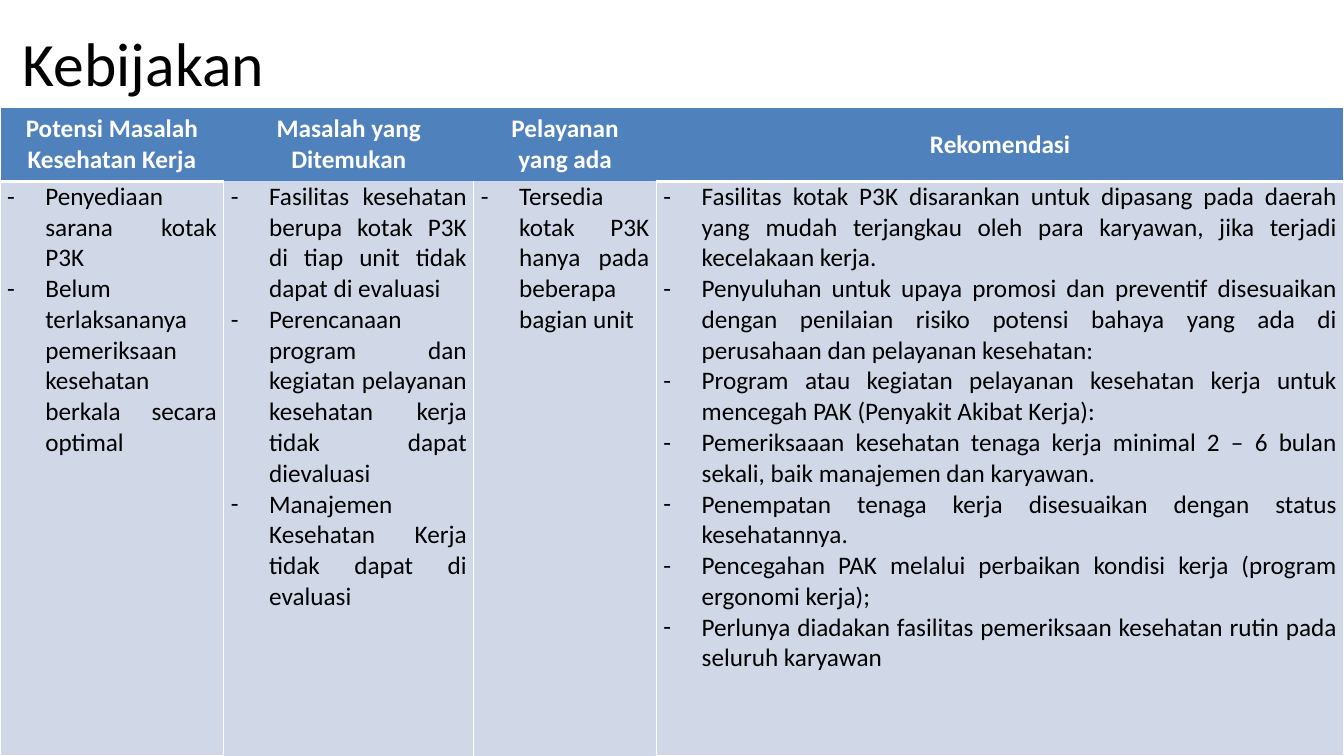
from lxml import etree
from pptx import Presentation
from pptx.dml.color import RGBColor
from pptx.enum import text
from pptx.oxml import ns
from pptx.util import Inches, Pt

FONT = "Calibri"
WHITE, BLACK = "FFFFFF", "000000"
HEADER_FILL, BODY_FILL = "4F81BD", "D0D8E8"
ROW_HEIGHTS = [0.73, 5.7]
ALL_SIDES = {"L": 1, "R": 1, "T": 1, "B": 1}
SIDES_ONLY = {"L": 1, "R": 1}

# Each column: width, heading, heading borders, body borders, items
COLUMNS = [
    (2.22, "Potensi Masalah Kesehatan Kerja", {"L": 1, "T": 1, "B": 3}, ALL_SIDES, [
        "Penyediaan sarana kotak P3K",
        "Belum terlaksananya pemeriksaan kesehatan berkala secara optimal",
    ]),
    (2.48, "Masalah yang Ditemukan", {}, SIDES_ONLY, [
        "Fasilitas kesehatan berupa kotak P3K di tiap unit tidak dapat di evaluasi",
        "Perencanaan program dan kegiatan pelayanan kesehatan kerja tidak dapat dievaluasi",
        "Manajemen Kesehatan Kerja tidak dapat di evaluasi",
    ]),
    (1.81, "Pelayanan yang ada", {}, SIDES_ONLY, [
        "Tersedia kotak P3K hanya pada beberapa bagian unit",
    ]),
    (6.82, "Rekomendasi", {"T": 1, "R": 1, "B": 3}, ALL_SIDES, [
        "Fasilitas kotak P3K disarankan untuk dipasang pada daerah yang mudah "
        "terjangkau oleh para karyawan, jika terjadi kecelakaan kerja.",
        "Penyuluhan untuk upaya promosi dan preventif disesuaikan dengan penilaian "
        "risiko potensi bahaya yang ada di perusahaan dan pelayanan kesehatan:",
        "Program atau kegiatan pelayanan kesehatan kerja untuk mencegah PAK "
        "(Penyakit Akibat Kerja):",
        "Pemeriksaaan kesehatan tenaga kerja minimal 2 – 6 bulan sekali, baik "
        "manajemen dan karyawan.",
        "Penempatan tenaga kerja disesuaikan dengan status kesehatannya.",
        "Pencegahan PAK melalui perbaikan kondisi kerja (program ergonomi kerja);",
        "Perlunya diadakan fasilitas pemeriksaan kesehatan rutin pada seluruh karyawan",
    ]),
]


def color(hex_value):
    return RGBColor.from_string(hex_value)


def style_font(paragraph, size, hex_value, bold=False):
    for run in paragraph.runs:
        run.font.name = FONT
        run.font.size = Pt(size)
        run.font.bold = bold
        run.font.color.rgb = color(hex_value)


def add_dash(paragraph):
    """Hanging indent with a dash as bullet."""
    properties = paragraph._p.get_or_add_pPr()
    properties.set("marL", str(Inches(0.38)))
    properties.set("indent", str(Inches(-0.38)))
    etree.SubElement(properties, ns.qn("a:buFont"), typeface=FONT)
    etree.SubElement(properties, ns.qn("a:buChar"), char="-")


def style_cell(cell, fill, borders):
    """White borders on the given sides, none elsewhere, then the fill."""
    properties = cell._tc.get_or_add_tcPr()
    for side in "LRTB":
        line = etree.SubElement(properties, ns.qn(f"a:ln{side}"))
        if side in borders:
            line.set("w", str(Pt(borders[side])))
            solid = etree.SubElement(line, ns.qn("a:solidFill"))
            etree.SubElement(solid, ns.qn("a:srgbClr"), val=WHITE)
        else:
            etree.SubElement(line, ns.qn("a:noFill"))
    cell.fill.solid()
    cell.fill.fore_color.rgb = color(fill)


def fill_heading(cell, heading, borders):
    style_cell(cell, HEADER_FILL, borders)
    cell.vertical_anchor = text.MSO_ANCHOR.MIDDLE
    cell.text_frame.text = heading
    paragraph = cell.text_frame.paragraphs[0]
    paragraph.alignment = text.PP_ALIGN.CENTER
    style_font(paragraph, 18, WHITE, bold=True)


def fill_items(cell, items, borders):
    style_cell(cell, BODY_FILL, borders)
    cell.margin_left = cell.margin_right = Inches(0.07)
    cell.margin_top = cell.margin_bottom = 0
    cell.text_frame.text = "\n".join(items)
    for paragraph in cell.text_frame.paragraphs:
        paragraph.alignment = text.PP_ALIGN.JUSTIFY
        add_dash(paragraph)
        style_font(paragraph, 18, BLACK)


def add_title(slide, title):
    box = slide.shapes.add_textbox(Inches(0.13), Inches(-0.01), Inches(12), Inches(1.25))
    frame = box.text_frame
    frame.word_wrap = True
    frame.vertical_anchor = text.MSO_ANCHOR.MIDDLE
    frame.text = title
    style_font(frame.paragraphs[0], 44, BLACK)


def add_policy_table(slide):
    table = slide.shapes.add_table(
        2, len(COLUMNS), 0, Inches(1.07), Inches(13.33), Inches(sum(ROW_HEIGHTS))).table
    for row, height in zip(table.rows, ROW_HEIGHTS):
        row.height = Inches(height)
    for index, (width, heading, heading_borders, body_borders, items) in enumerate(COLUMNS):
        table.columns[index].width = Inches(width)
        fill_heading(table.cell(0, index), heading, heading_borders)
        fill_items(table.cell(1, index), items, body_borders)


def main():
    deck = Presentation()
    deck.slide_width, deck.slide_height = Inches(13.33), Inches(7.5)
    slide = deck.slides.add_slide(deck.slide_layouts[6])
    add_title(slide, "Kebijakan")
    add_policy_table(slide)
    deck.save("out.pptx")


if __name__ == "__main__":
    main()
